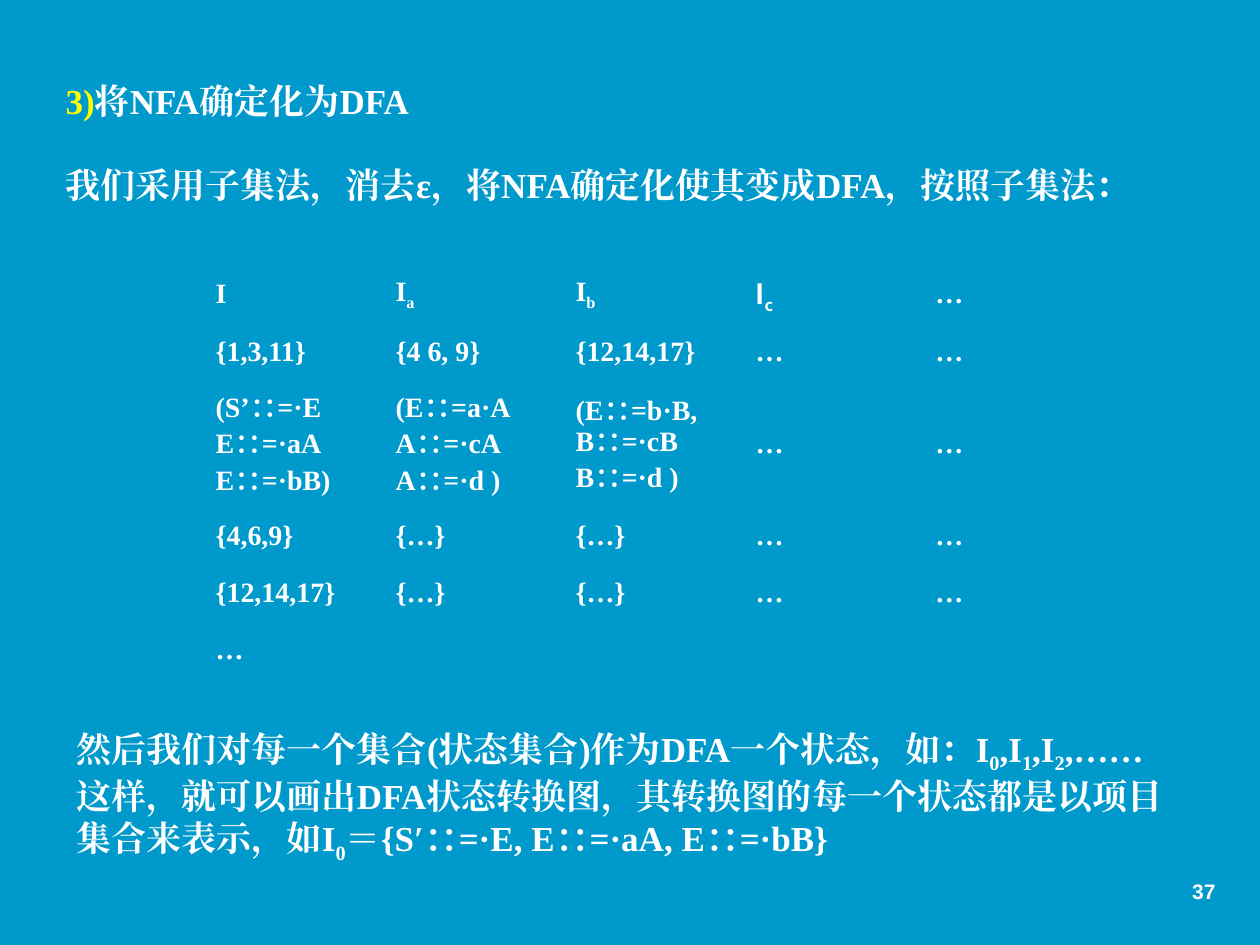
from lxml.etree import SubElement
from pptx import Presentation
from pptx.dml.color import RGBColor
from pptx.enum.text import MSO_ANCHOR, MSO_AUTO_SIZE, PP_ALIGN
from pptx.oxml.ns import qn
from pptx.util import Emu, Pt

PIXEL = 914400 / 126
COLORS = {"background": "0099CC", "text": "FFFFFF", "number": "FFFF00"}
SERIF, SANS, CHINESE = "Times New Roman", "Arial", "Noto Sans CJK SC"
PLAIN_TABLE_STYLE = "{2D5ABB26-0587-4C30-8999-92F81FD0307C}"

COLUMN_WIDTHS = [180, 180, 180, 180, 182]
ROW_HEIGHTS = [59, 57, 127, 57, 57, 57]
STATE_ROWS = [
    ["I", "I|a", "I|b", "I|c", "…"],
    ["{1,3,11}", "{4 6, 9}", "{12,14,17}", "…", "…"],
    ["(S’∷=·E\nE∷=·aA\nE∷=·bB)", "(E∷=a·A\nA∷=·cA\nA∷=·d )",
     "(E∷=b·B, B∷=·cB\nB∷=·d )", "…", "…"],
    ["{4,6,9}", "{…}", "{…}", "…", "…"],
    ["{12,14,17}", "{…}", "{…}", "…", "…"],
    ["…", "", "", "", ""],
]


def px(value):
    return Emu(round(value * PIXEL))


class SlideBuilder:
    def __init__(self, presentation):
        self.slide = presentation.slides.add_slide(presentation.slide_layouts[5])
        fill = self.slide.background.fill
        fill.solid()
        fill.fore_color.rgb = RGBColor.from_string(COLORS["background"])

    def add_run(self, paragraph, text, size, font=SERIF, color="text", subscript=False):
        run = paragraph.add_run()
        run.text = text
        for name, value in {"size": Pt(size), "name": font, "bold": True}.items():
            setattr(run.font, name, value)
        run.font.color.rgb = RGBColor.from_string(COLORS[color])
        properties = run.font._element
        SubElement(properties, qn("a:ea")).set("typeface", font)
        if subscript:
            properties.set("baseline", "-25000")

    def fill_frame(self, frame, text, size, font=SERIF, gap=0, align=PP_ALIGN.LEFT):
        """Split text into paragraphs at newlines; every second part between bars is a subscript."""
        for index, line in enumerate(text.split("\n")):
            paragraph = frame.add_paragraph() if index else frame.paragraphs[0]
            paragraph.alignment = align
            if index and gap:
                paragraph.space_before = Pt(gap)
            for position, part in enumerate(line.split("|")):
                if part:
                    self.add_run(paragraph, part, size, font, subscript=position % 2 == 1)

    def format_frame(self, frame):
        settings = {
            "word_wrap": True, "auto_size": MSO_AUTO_SIZE.NONE,
            "vertical_anchor": MSO_ANCHOR.TOP,
            "margin_left": Pt(7.2), "margin_right": Pt(7.2),
            "margin_top": Pt(3.6), "margin_bottom": Pt(3.6),
        }
        for name, value in settings.items():
            setattr(frame, name, value)

    def title(self, number, text, left, top, width, height):
        shape = self.slide.shapes.title
        box = {"left": left, "top": top, "width": width, "height": height}
        for name, value in box.items():
            setattr(shape, name, px(value))
        self.format_frame(shape.text_frame)
        paragraph = shape.text_frame.paragraphs[0]
        paragraph.alignment = PP_ALIGN.LEFT
        self.add_run(paragraph, number, 20, color="number")
        self.add_run(paragraph, text, 20)

    def text(self, text, left, top, width, height, size=20, **style):
        shape = self.slide.shapes.add_textbox(px(left), px(top), px(width), px(height))
        self.format_frame(shape.text_frame)
        self.fill_frame(shape.text_frame, text, size, **style)

    def table(self, rows, left, top):
        shape = self.slide.shapes.add_table(
            len(rows), len(rows[0]), px(left), px(top),
            px(sum(COLUMN_WIDTHS)), px(sum(ROW_HEIGHTS)))
        table = shape.table
        table.first_row = table.horz_banding = False
        table._tbl.tblPr.find(qn("a:tableStyleId")).text = PLAIN_TABLE_STYLE
        for column, width in zip(table.columns, COLUMN_WIDTHS):
            column.width = px(width)
        for row, height, texts in zip(table.rows, ROW_HEIGHTS, rows):
            row.height = px(height)
            for cell, text in zip(row.cells, texts):
                cell.fill.background()
                cell.vertical_anchor = MSO_ANCHOR.MIDDLE
                font = CHINESE if text == "I|c" else SERIF
                self.fill_frame(cell.text_frame, text, 16, font=font, gap=3.2)


def main():
    presentation = Presentation()
    presentation.slide_width, presentation.slide_height = px(1260), px(945)
    builder = SlideBuilder(presentation)
    builder.title("3)", "将NFA确定化为DFA", 53, 73, 1166, 56)
    builder.text("我们采用子集法，消去ε，将NFA确定化使其变成DFA，按照子集法：",
                 53, 157, 1166, 56)
    builder.table(STATE_ROWS, 203, 265)
    builder.text("然后我们对每一个集合(状态集合)作为DFA一个状态，如：I|0|,I|1|,I|2|,……\n"
                 "这样，就可以画出DFA状态转换图，其转换图的每一个状态都是以项目集合来表示，"
                 "如I|0|＝{S′∷=·E, E∷=·aA, E∷=·bB}", 64, 721, 1142, 188)
    builder.text("37", 966, 872, 262, 53, size=12, font=SANS, align=PP_ALIGN.RIGHT)
    presentation.save("out.pptx")


if __name__ == "__main__":
    main()
